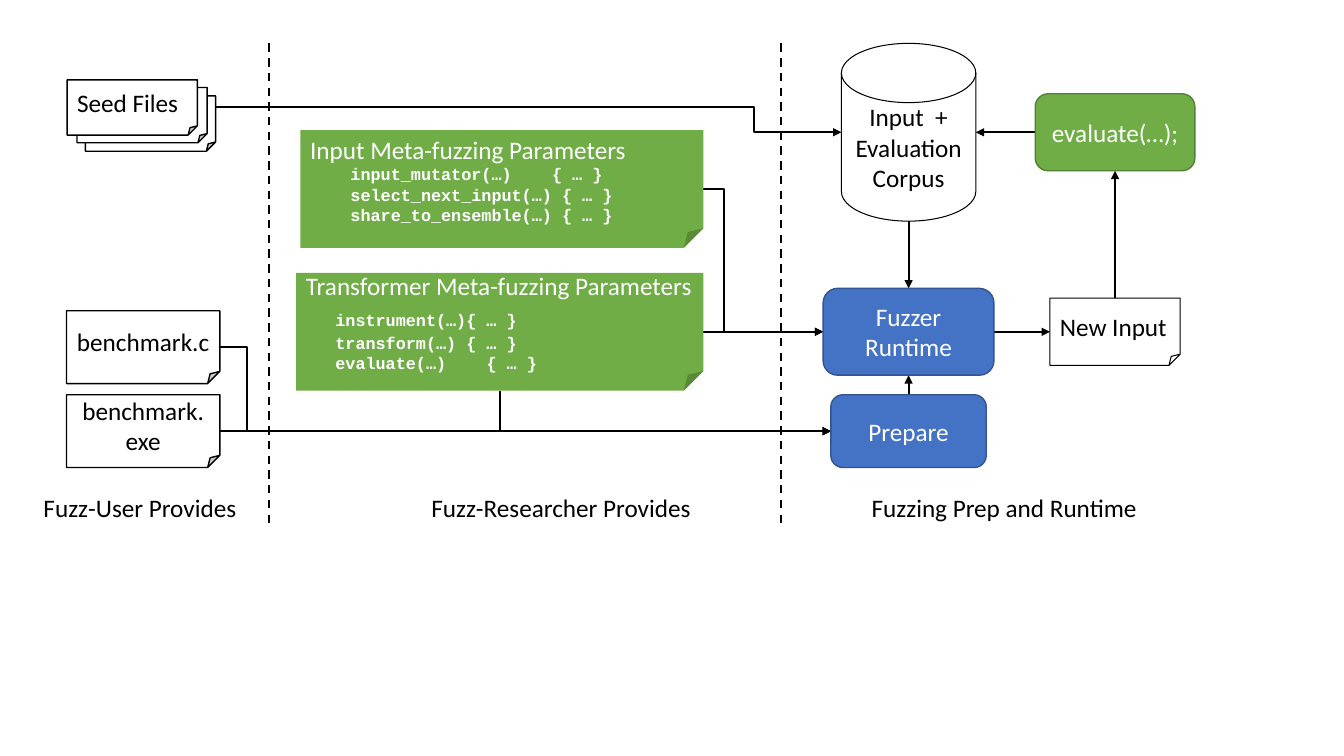
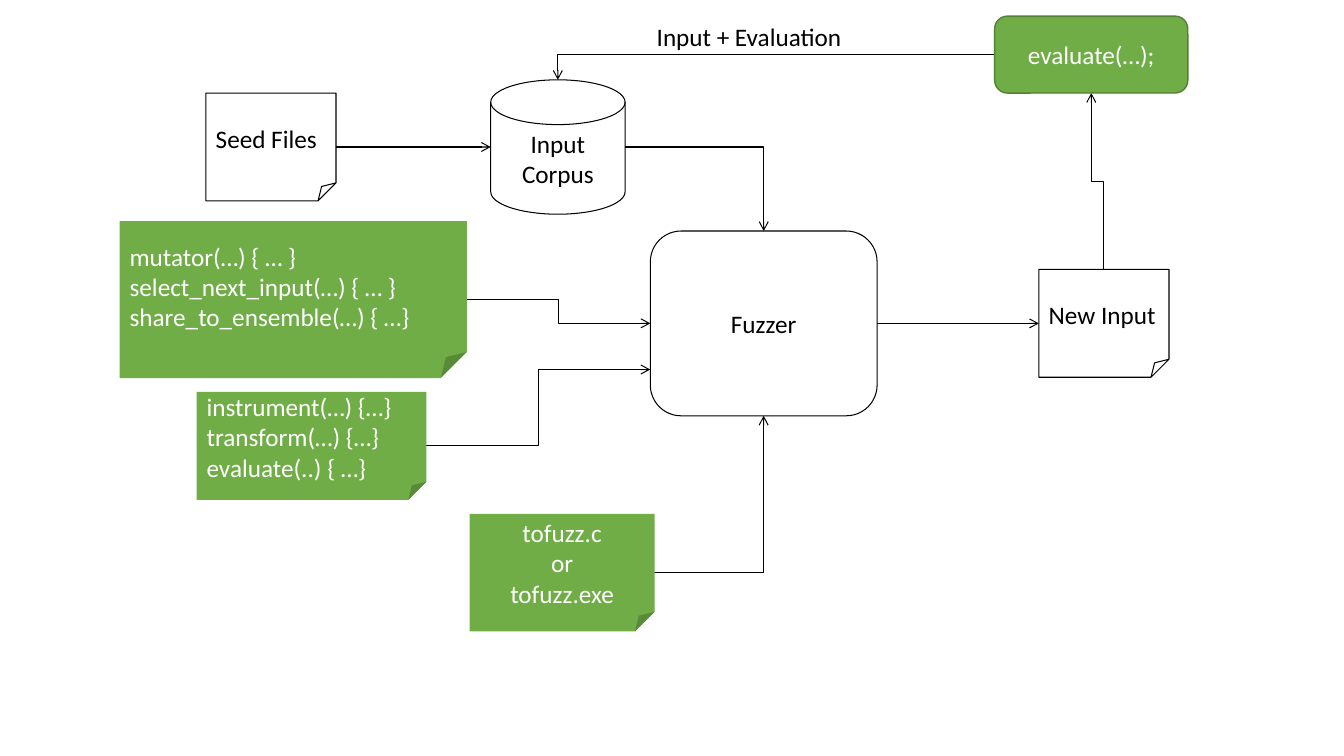
from lxml import etree
from pptx import Presentation
from pptx.dml.color import RGBColor
from pptx.enum.dml import MSO_LINE
from pptx.enum.shapes import MSO_CONNECTOR, MSO_SHAPE
from pptx.enum.text import MSO_ANCHOR, PP_ALIGN
from pptx.oxml.ns import qn
from pptx.util import Pt

NOTE = MSO_SHAPE.FOLDED_CORNER
ROUNDED = MSO_SHAPE.ROUNDED_RECTANGLE
DISK = MSO_SHAPE.FLOWCHART_MAGNETIC_DISK
LEFT, CENTER = PP_ALIGN.LEFT, PP_ALIGN.CENTER
TOP_SIDE, LEFT_SIDE, BOTTOM_SIDE, RIGHT_SIDE = range(4)
STRAIGHT, ELBOW, UP_ELBOW, CORNER, REVERSED_CORNER = range(5)

COLORS = {
    "black": "000000", "white": "FFFFFF",
    "green": "70AD47", "green edge": "538035",
    "blue": "4472C4", "blue edge": "325491",
}
# fill, line, line width, text
STYLES = {
    "code": ("green", None, 0, "white"),
    "evaluate": ("green", "green edge", 1, "white"),
    "step": ("blue", "blue edge", 1, "white"),
    "paper": ("white", "black", 1, "black"),
    "outline": (None, "black", 0.75, "black"),
}
BODY_FONT, BODY_SIZE = "Calibri", 18
CODE_FONT, CODE_SIZE = "Courier New", 12
CODE_CHARACTER = 7.2  # advance of one monospaced character

# name: (shape, style, (left, top, width, height), alignment, text)
META_FUZZING = {
    "back seed sheet": (NOTE, "paper", (61, 68.5, 93, 39.5), LEFT, ""),
    "middle seed sheet": (NOTE, "paper", (55, 62.5, 93, 39.5), LEFT, ""),
    "seeds": (NOTE, "paper", (48, 57, 93, 39.5), LEFT, "Seed Files"),
    "source": (NOTE, "paper", (47.5, 222, 109.5, 52), CENTER, "benchmark.c"),
    "binary": (NOTE, "paper", (47.5, 282, 109.5, 52), CENTER, "benchmark.exe"),
    "input": (NOTE, "code", (214.5, 93, 288, 84), LEFT,
              "Input Meta-fuzzing Parameters"),
    "transformer": (NOTE, "code", (211.5, 195, 291, 84), LEFT,
                    "Transformer Meta-fuzzing Parameters"),
    "corpus": (DISK, "outline", (601, 31, 96, 127), CENTER,
               "Input  + Evaluation Corpus"),
    "runtime": (ROUNDED, "step", (588, 206, 122, 62), CENTER, "Fuzzer Runtime"),
    "prepare": (ROUNDED, "step", (593.5, 282, 111, 52), CENTER, "Prepare"),
    "new input": (NOTE, "outline", (750, 213, 93, 48), LEFT, "New Input"),
    "evaluate": (ROUNDED, "evaluate", (739.5, 67, 114, 55), CENTER, "evaluate(…);"),
}
# name: (indent, tab column in characters, space before, space after, lines)
CODE_LISTINGS = {
    "input": (4 * CODE_CHARACTER, 21, 0, 0, [
        "input_mutator(…)\t{ … }",
        "select_next_input(…) { … }",
        "share_to_ensemble(…) { … }"]),
    "transformer": (21, 13, 6.5, 2, [
        "instrument(…){ … }",
        "transform(…) { … }",
        "evaluate(…)\t{ … }"]),
}
# start, side, end, side, kind, share of the way to the bend
META_FUZZING_ROUTES = [
    ("input", RIGHT_SIDE, "runtime", LEFT_SIDE, ELBOW, 0.175),
    ("transformer", RIGHT_SIDE, "runtime", LEFT_SIDE, STRAIGHT, None),
    ("seeds", RIGHT_SIDE, "corpus", LEFT_SIDE, ELBOW, 0.864),
    ("corpus", BOTTOM_SIDE, "runtime", TOP_SIDE, STRAIGHT, None),
    ("binary", RIGHT_SIDE, "prepare", LEFT_SIDE, STRAIGHT, None),
    ("source", RIGHT_SIDE, "prepare", LEFT_SIDE, ELBOW, 0.045),
    ("transformer", BOTTOM_SIDE, "prepare", LEFT_SIDE, REVERSED_CORNER, None),
    ("prepare", TOP_SIDE, "runtime", BOTTOM_SIDE, STRAIGHT, None),
    ("runtime", RIGHT_SIDE, "new input", LEFT_SIDE, STRAIGHT, None),
    ("new input", TOP_SIDE, "evaluate", BOTTOM_SIDE, STRAIGHT, None),
    ("evaluate", LEFT_SIDE, "corpus", RIGHT_SIDE, STRAIGHT, None),
]
META_FUZZING_LABELS = [
    ("Fuzz-User Provides", (24, 348, 153, 29)),
    ("Fuzz-Researcher Provides", (301, 348, 201.5, 29)),
    ("Fuzzing Prep and Runtime", (615.5, 348, 206.5, 29)),
]
DIVIDERS, DIVIDER_TOP, DIVIDER_BOTTOM = (192, 558), 31, 377

FUZZER_LOOP = {
    "mutator": (NOTE, "code", (85.5, 158, 248, 112), LEFT,
                "mutator(…) { … }\nselect_next_input(…) { … }\n"
                "share_to_ensemble(…) { …}"),
    "instrument": (NOTE, "code", (140.5, 280, 164, 77), LEFT,
                   "instrument(…) {…}\ntransform(…) {…}\nevaluate(..) { …}"),
    "target": (NOTE, "code", (335.5, 367, 132, 84), CENTER,
               "tofuzz.c\nor\ntofuzz.exe"),
    "seeds": (NOTE, "outline", (147, 66.5, 93, 77), LEFT, "Seed Files"),
    "corpus": (DISK, "outline", (350.5, 57, 96, 96), CENTER, "Input Corpus"),
    "fuzzer": (ROUNDED, "outline", (464.5, 165, 162, 132), CENTER, "Fuzzer"),
    "new input": (NOTE, "outline", (742, 192.5, 93, 77), LEFT, "New Input"),
    "evaluate": (ROUNDED, "evaluate", (710.5, 11.5, 138, 55), CENTER, "evaluate(…);"),
}
LOWER_FUZZER_ENTRY = (464.5, 264)
FUZZER_LOOP_ROUTES = [
    ("seeds", RIGHT_SIDE, "corpus", LEFT_SIDE, STRAIGHT, None),
    ("corpus", RIGHT_SIDE, "fuzzer", TOP_SIDE, CORNER, None),
    ("mutator", RIGHT_SIDE, "fuzzer", LEFT_SIDE, ELBOW, 0.5),
    ("instrument", RIGHT_SIDE, LOWER_FUZZER_ENTRY, None, ELBOW, 0.5),
    ("target", RIGHT_SIDE, "fuzzer", BOTTOM_SIDE, CORNER, None),
    ("fuzzer", RIGHT_SIDE, "new input", LEFT_SIDE, STRAIGHT, None),
    ("new input", TOP_SIDE, "evaluate", BOTTOM_SIDE, UP_ELBOW, 0.5),
    ("evaluate", LEFT_SIDE, "corpus", TOP_SIDE, CORNER, None),
]
FUZZER_LOOP_LABELS = [("Input + Evaluation", (462, 12, 148.5, 29))]


def rgb(name):
    return RGBColor.from_string(COLORS[name])


def points(values):
    return [Pt(value) for value in values]


def format_paragraph(paragraph, color, alignment=LEFT, font=BODY_FONT,
                     size=BODY_SIZE, bold=False):
    paragraph.alignment = alignment
    for span in paragraph.runs:
        span.font.name, span.font.size, span.font.bold = font, Pt(size), bold
        span.font.color.rgb = rgb(color)


def add_box(page, kind, style, place, alignment, text):
    fill, line, width, color = STYLES[style]
    box = page.shapes.add_shape(kind, *points(place))
    box.shadow.inherit = False
    if fill:
        box.fill.solid()
        box.fill.fore_color.rgb = rgb(fill)
    else:
        box.fill.background()
    if line:
        box.line.color.rgb = rgb(line)
        box.line.width = Pt(width)
    else:
        box.line.fill.background()
    frame = box.text_frame
    frame.word_wrap, frame.vertical_anchor = True, MSO_ANCHOR.MIDDLE
    frame.text = text
    for paragraph in frame.paragraphs:
        format_paragraph(paragraph, color, alignment)
    return box


def add_code(box, indent, column, before, after, lines):
    """Append indented code lines whose tab stop lines up the braces."""
    for number, line in enumerate(lines):
        paragraph = box.text_frame.add_paragraph()
        paragraph.text = line
        format_paragraph(paragraph, "white", LEFT, CODE_FONT, CODE_SIZE, True)
        if number == 0:
            paragraph.space_before, paragraph.space_after = Pt(before), Pt(after)
        properties = paragraph._p.get_or_add_pPr()
        properties.set("marL", str(Pt(indent)))
        properties.set("indent", "0")
        stops = etree.SubElement(properties, qn("a:tabLst"))
        position = Pt(indent + column * CODE_CHARACTER)
        etree.SubElement(stops, qn("a:tab"), pos=str(position), algn="l")


def add_label(page, text, place):
    box = page.shapes.add_textbox(*points(place))
    box.text_frame.word_wrap = False
    box.text_frame.text = text
    format_paragraph(box.text_frame.paragraphs[0], "black")


def style_line(connector, width):
    connector.line.color.rgb = rgb("black")
    connector.line.width = Pt(width)
    etree.SubElement(connector.element.spPr, qn("a:effectLst"))


def join(connector, boxes, end, name, side):
    connect = connector.begin_connect if end == "a:stCxn" else connector.end_connect
    connect(boxes[name], side)
    if boxes[name].auto_shape_type == DISK:
        # A disk has an extra site on its lid, so its sides count from one.
        site = next(connector.element.iter(qn(end)))
        site.set("idx", str(side + 1))


def turn_upward(connector):
    """Lay the connector on its side and rotate it, so that it leaves upward."""
    begin_x, begin_y = connector.begin_x, connector.begin_y
    end_x, end_y = connector.end_x, connector.end_y
    middle_x, middle_y = (begin_x + end_x) // 2, (begin_y + end_y) // 2
    connector.begin_x = middle_x - (begin_y - middle_y)
    connector.begin_y = middle_y + (begin_x - middle_x)
    connector.end_x = middle_x - (end_y - middle_y)
    connector.end_y = middle_y + (end_x - middle_x)
    connector.element.spPr.find(qn("a:xfrm")).set("rot", str(270 * 60000))


def add_route(page, boxes, route, width, arrowhead):
    start, start_side, end, end_side, kind, bend = route
    arrow_end = "a:tailEnd"
    if kind == REVERSED_CORNER:
        start, start_side, end, end_side = end, end_side, start, start_side
        arrow_end = "a:headEnd"
    target = (0, 0) if end_side is not None else end
    connector = page.shapes.add_connector(
        MSO_CONNECTOR.STRAIGHT if kind == STRAIGHT else MSO_CONNECTOR.ELBOW,
        0, 0, *points(target))
    join(connector, boxes, "a:stCxn", start, start_side)
    if end_side is not None:
        join(connector, boxes, "a:endCxn", end, end_side)
    geometry = connector.element.spPr.find(qn("a:prstGeom"))
    if kind in (CORNER, REVERSED_CORNER):
        geometry.set("prst", "bentConnector2")
    if bend is not None:
        etree.SubElement(geometry.find(qn("a:avLst")), qn("a:gd"),
                         name="adj1", fmla=f"val {round(bend * 100000)}")
    if kind == UP_ELBOW:
        turn_upward(connector)
    style_line(connector, width)
    line = connector.element.spPr.find(qn("a:ln"))
    etree.SubElement(line, qn(arrow_end), type=arrowhead)
    connector.element.getparent().insert(2, connector.element)  # behind the boxes


def add_diagram(deck, contents, routes, labels, width, arrowhead):
    page = deck.slides.add_slide(deck.slide_layouts[6])
    boxes = {name: add_box(page, *content) for name, content in contents.items()}
    for route in routes:
        add_route(page, boxes, route, width, arrowhead)
    for text, place in labels:
        add_label(page, text, place)
    return page, boxes


def main():
    deck = Presentation()
    deck.slide_width, deck.slide_height = Pt(960), Pt(540)

    page, boxes = add_diagram(deck, META_FUZZING, META_FUZZING_ROUTES,
                              META_FUZZING_LABELS, 1.5, "triangle")
    for name, listing in CODE_LISTINGS.items():
        add_code(boxes[name], *listing)
    for x in DIVIDERS:
        divider = page.shapes.add_connector(
            MSO_CONNECTOR.STRAIGHT, *points((x, DIVIDER_TOP, x, DIVIDER_BOTTOM)))
        style_line(divider, 1.5)
        divider.line.dash_style = MSO_LINE.DASH

    add_diagram(deck, FUZZER_LOOP, FUZZER_LOOP_ROUTES, FUZZER_LOOP_LABELS,
                0.75, "arrow")
    deck.save("out.pptx")


if __name__ == "__main__":
    main()
